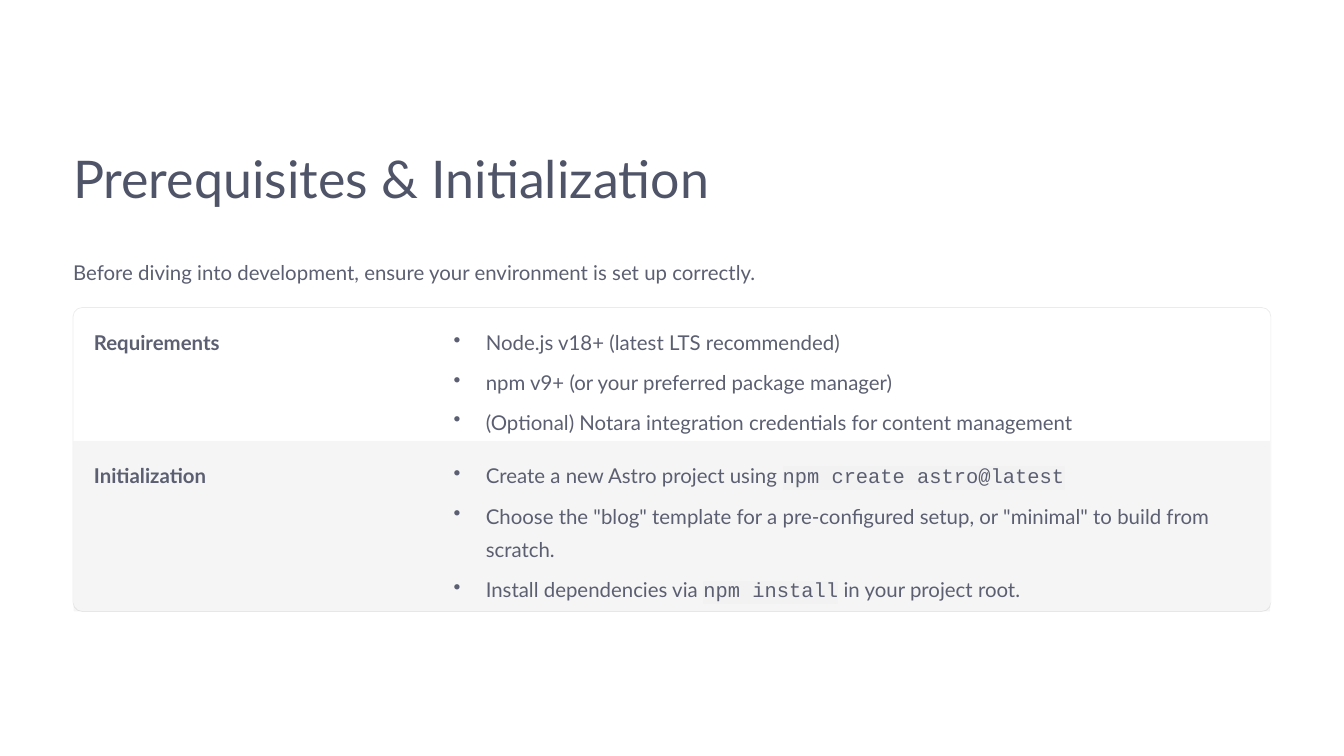
from dataclasses import dataclass

import pptx
import pptx.dml.color
import pptx.enum.shapes
import pptx.enum.text
import pptx.oxml
import pptx.oxml.ns
import pptx.util
from lxml import etree

Cm = pptx.util.Cm
Pt = pptx.util.Pt
qn = pptx.oxml.ns.qn


@dataclass(frozen=True)
class Theme:
    font: str = "Lato"
    code_font: str = "Courier New"
    title: str = "505468"
    text: str = "5B5F71"
    code_back: str = "F2F2F2"
    white: str = "FFFFFF"
    black: str = "000000"
    title_size: float = 44.5
    text_size: float = 17.5
    title_leading: float = 55.5
    text_leading: float = 28.5


THEME = Theme()
LEFT, WIDTH = 2.21, 36.22
LINE_HEIGHT = 1.02
ROWS_TOP = 9.32

# Backquotes mark code. Each row: label, height, fill, gap between items, items.
ROWS = [
    ("Requirements", 4.01, THEME.white, 5.4, [
        "Node.js v18+ (latest LTS recommended)",
        "npm v9+ (or your preferred package manager)",
        "(Optional) Notara integration credentials for content management",
    ]),
    ("Initialization", 5.16, THEME.black, 6.2, [
        "Create a new Astro project using `npm create astro@latest`",
        'Choose the "blog" template for a pre-configured setup, '
        'or "minimal" to build from scratch.',
        "Install dependencies via `npm install` in your project root.",
    ]),
]


def rgb(color):
    return pptx.dml.color.RGBColor.from_string(color)


def set_alpha(color_format, percent):
    color = color_format._xFill.find(qn("a:srgbClr"))
    etree.SubElement(color, qn("a:alpha"), val=str(percent * 1000))


def add_bullet(p):
    pPr = p._p.get_or_add_pPr()
    indent = Cm(0.97)
    pPr.set("marL", str(indent))
    pPr.set("indent", str(-indent))
    etree.SubElement(pPr, qn("a:buChar"), char="•")


def highlight(r, color):
    mark = etree.Element(qn("a:highlight"))
    etree.SubElement(mark, qn("a:srgbClr"), val=color)
    r._r.rPr.find(qn("a:solidFill")).addnext(mark)


def write(sp, *lines, size=THEME.text_size, color=THEME.text, bold=False,
          leading=THEME.text_leading, gap=0, bullets=False):
    """Fill a shape with one paragraph per line, setting backquoted parts as code."""
    tf = sp.text_frame
    tf.word_wrap = True
    tf.auto_size = pptx.enum.text.MSO_AUTO_SIZE.NONE
    tf.vertical_anchor = pptx.enum.text.MSO_ANCHOR.TOP
    tf.margin_left = tf.margin_top = tf.margin_right = tf.margin_bottom = 0
    for i, line in enumerate(lines):
        p = tf.add_paragraph() if i else tf.paragraphs[0]
        if bullets:
            add_bullet(p)
        p.alignment = pptx.enum.text.PP_ALIGN.LEFT
        p.line_spacing = Pt(leading)
        p.space_before = Pt(gap if i else 0)
        for j, part in enumerate(line.split("`")):
            if not part:
                continue
            is_code = j % 2 == 1
            r = p.add_run()
            r.text = part
            r.font.size = Pt(size)
            r.font.bold = bold
            r.font.color.rgb = rgb(color)
            r.font.name = THEME.code_font if is_code else THEME.font
            if is_code:
                highlight(r, THEME.code_back)


def add_text(s, left, top, width, height, *lines, **style):
    box = s.shapes.add_textbox(Cm(left), Cm(top), Cm(width), Cm(height))
    write(box, *lines, **style)


def add_title(s, text):
    title = s.shapes.title
    title.left, title.top = Cm(LEFT), Cm(4.37)
    title.width, title.height = Cm(20.68), Cm(1.98)
    write(title, text, size=THEME.title_size, color=THEME.title,
          leading=THEME.title_leading)


def add_frame(s, top, height):
    frame = s.shapes.add_shape(pptx.enum.shapes.MSO_SHAPE.ROUNDED_RECTANGLE,
                               Cm(LEFT), Cm(top), Cm(WIDTH), Cm(height))
    frame.adjustments[0] = 0.03
    frame.shadow.inherit = False
    frame.fill.background()
    frame.line.width = Pt(0.6)
    frame.line.color.rgb = rgb(THEME.black)
    set_alpha(frame.line.color, 8)


def add_row(s, top, label, height, fill, gap, items):
    band = s.shapes.add_shape(pptx.enum.shapes.MSO_SHAPE.RECTANGLE,
                              Cm(LEFT + 0.02), Cm(top), Cm(WIDTH - 0.04), Cm(height))
    band.shadow.inherit = False
    band.line.fill.background()
    band.fill.solid()
    band.fill.fore_color.rgb = rgb(fill)
    set_alpha(band.fill.fore_color, 4)
    text_top = top + 0.41
    add_text(s, 2.84, text_top, 9.58, LINE_HEIGHT, label, bold=True)
    add_text(s, 13.72, text_top, 24.05, height - 0.62, *items, gap=gap, bullets=True)


def main():
    prs = pptx.Presentation()
    prs.slide_width, prs.slide_height = Cm(40.64), Cm(22.86)
    s = prs.slides.add_slide(prs.slide_layouts.get_by_name("Title Only"))
    add_title(s, "Prerequisites & Initialization")
    add_text(s, LEFT, 7.59, WIDTH, LINE_HEIGHT,
             "Before diving into development, ensure your environment is set up correctly.")
    add_frame(s, ROWS_TOP - 0.02, sum(row[1] for row in ROWS) + 0.02)
    top = ROWS_TOP
    for row in ROWS:
        add_row(s, top, *row)
        top += row[1]
    prs.save("out.pptx")


if __name__ == "__main__":
    main()
